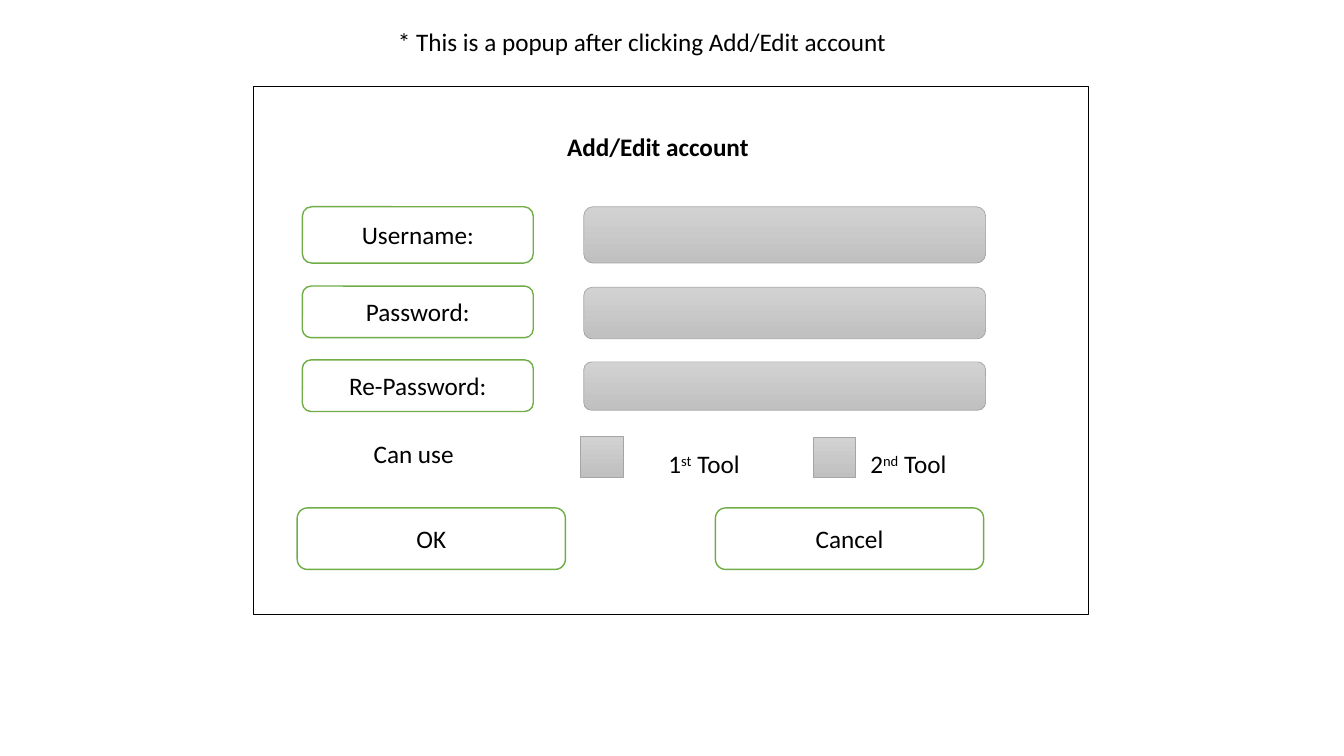
"""Build a wireframe slide of the Add/Edit account popup."""
from pptx import Presentation
from pptx.dml.color import RGBColor
from pptx.enum.shapes import MSO_SHAPE as Preset
from pptx.enum.text import MSO_ANCHOR as Anchor, MSO_AUTO_SIZE as AutoSize, PP_ALIGN as Align
from pptx.util import Cm, Pt

BLACK = RGBColor(0x00, 0x00, 0x00)
WHITE = RGBColor(0xFF, 0xFF, 0xFF)
GREEN = RGBColor(0x70, 0xAD, 0x47)
GREY = RGBColor(0xA5, 0xA5, 0xA5)
GREY_TOP = RGBColor(0xD2, 0xD2, 0xD2)
GREY_BOTTOM = RGBColor(0xC0, 0xC0, 0xC0)
TEXT_FORMAT = {"name": "Calibri", "size": Pt(18), "bold": False}


def write(target, parts, align=Align.CENTER, **changes):
    """Write text parts, raising every second one as a superscript."""
    frame = target.text_frame
    frame.word_wrap = True
    frame.auto_size = AutoSize.NONE
    frame.vertical_anchor = Anchor.MIDDLE
    paragraph = frame.paragraphs[0]
    paragraph.alignment = align
    for index, part in enumerate(parts):
        run = paragraph.add_run()
        run.text = part
        for attribute, value in (TEXT_FORMAT | changes).items():
            setattr(run.font, attribute, value)
        run.font.color.rgb = BLACK
        if index % 2:
            run.font._element.set("baseline", "30000")


def draw(preset, box, fill=None, line=None, width=1):
    """Draw a shape with no fill, a plain fill or a two-colour gradient."""
    shape = slide.shapes.add_shape(preset, *map(Cm, box))
    shape.shadow.inherit = False
    if fill is None:
        shape.fill.background()
    elif isinstance(fill, list):
        shape.fill.gradient()
        shape.fill.gradient_angle = 270
        for stop, color in zip(shape.fill.gradient_stops, fill):
            stop.color.rgb = color
    else:
        shape.fill.solid()
        shape.fill.fore_color.rgb = fill
    if line is None:
        shape.line.fill.background()
    else:
        shape.line.color.rgb = line
        shape.line.width = Pt(width)
    return shape


deck = Presentation()
deck.slide_width, deck.slide_height = Cm(33.87), Cm(19.05)
slide = deck.slides.add_slide(deck.slide_layouts[5])
shaded = {"fill": [GREY_TOP, GREY_BOTTOM], "line": GREY, "width": 0.5}

draw(Preset.RECTANGLE, (6.38, 2.18, 21.06, 13.31), line=BLACK, width=0.75)

heading = slide.shapes.title
heading.left, heading.top, heading.width, heading.height = map(Cm, (11.35, 2.64, 10.46, 2.11))
write(heading, ["Add/Edit account"], bold=True)

note = slide.shapes.add_textbox(Cm(9.78), Cm(0.53), Cm(13.56), Cm(1.02))
write(note, ["* This is a popup after clicking Add/Edit account"], Align.LEFT)

for caption, label_top, label_height, field_top, field_height in [
    ("Username:", 5.21, 1.42, 5.21, 1.42),
    ("Password:", 7.21, 1.3, 7.24, 1.3),
    ("Re-Password:", 9.07, 1.3, 9.12, 1.22),
]:
    label = draw(Preset.ROUNDED_RECTANGLE, (7.62, label_top, 5.82, label_height), WHITE, GREEN)
    write(label, [caption])
    draw(Preset.ROUNDED_RECTANGLE, (14.71, field_top, 10.13, field_height), **shaded)

for parts, left, top in [
    (["Can use"], 8.56, 10.74),
    (["1", "st", " Tool"], 15.88, 11),
    (["2", "nd", " Tool"], 21.03, 11),
]:
    write(draw(Preset.ROUNDED_RECTANGLE, (left, top, 3.73, 1.37), WHITE), parts)

for left, top in [(14.63, 11), (20.5, 11.02)]:
    draw(Preset.RECTANGLE, (left, top, 1.07, 1.02), **shaded)

for caption, left in [("OK", 7.49), ("Cancel", 18.03)]:
    button = draw(Preset.ROUNDED_RECTANGLE, (left, 12.8, 6.76, 1.55), WHITE, GREEN)
    write(button, [caption])

deck.save("out.pptx")
